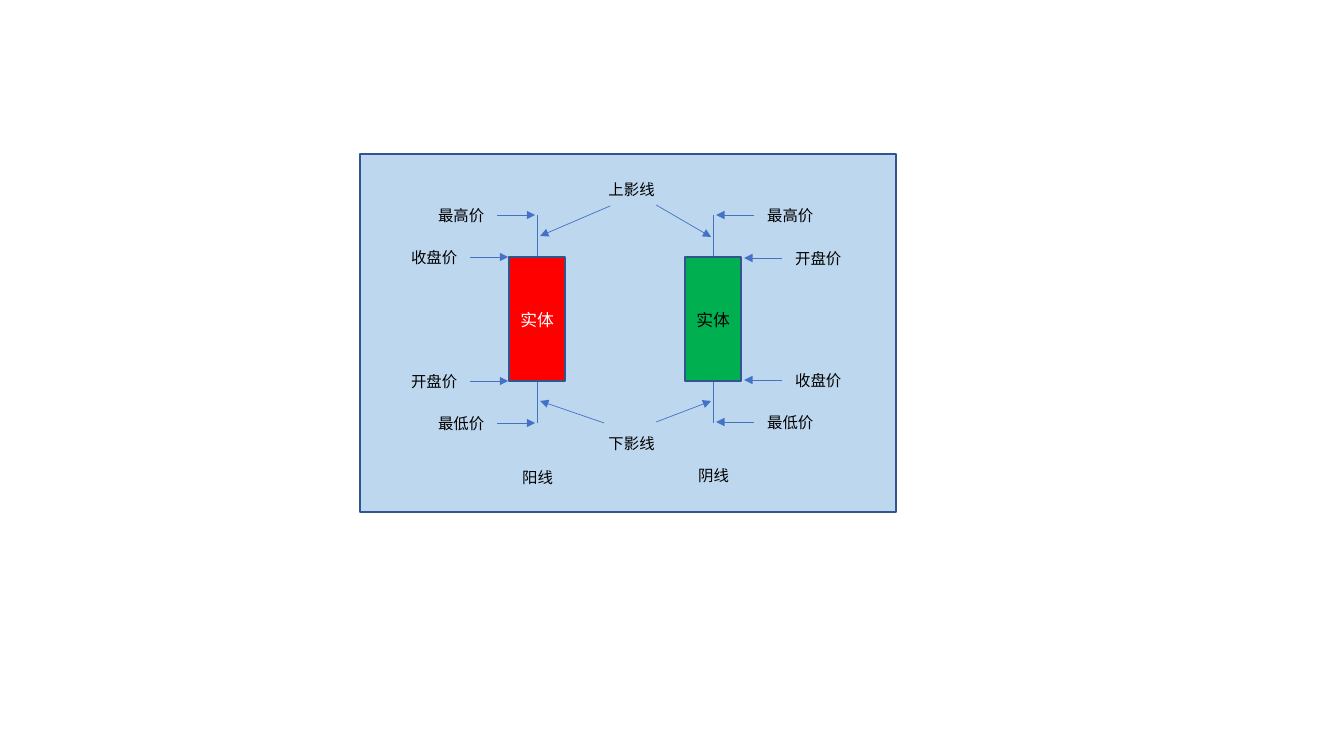
import pptx
import pptx.util
import pptx.dml.color
import pptx.enum.shapes
import pptx.enum.text
import pptx.oxml.ns
import lxml.etree

PX = 914400 / 100.8
FONT = "Noto Sans CJK SC"
BLUE, BORDER, BLACK, WHITE = "4472C4", "325491", "000000", "FFFFFF"
LABEL_W, LABEL_H = 69, 29
ARROW = 38
ALIGN = pptx.enum.text.PP_ALIGN


def px(n):
    return pptx.util.Emu(round(n * PX))


def color(value):
    return pptx.dml.color.RGBColor.from_string(value)


def add_rect(s, x, y, w, h, fill):
    sp = s.shapes.add_shape(pptx.enum.shapes.MSO_SHAPE.RECTANGLE,
                            px(x), px(y), px(w), px(h))
    sp.shadow.inherit = False
    sp.fill.solid()
    sp.fill.fore_color.rgb = color(fill)
    sp.line.color.rgb = color(BORDER)
    sp.line.width = pptx.util.Pt(1)


def add_text(s, text, x, y, w=LABEL_W, h=LABEL_H, size=11, fill=BLACK,
             align=ALIGN.CENTER):
    tf = s.shapes.add_textbox(px(x), px(y), px(w), px(h)).text_frame
    tf.word_wrap = True
    p = tf.paragraphs[0]
    p.alignment = align
    r = p.add_run()
    r.text = text
    r.font.size = pptx.util.Pt(size)
    r.font.color.rgb = color(fill)
    r.font.name = FONT
    ea = lxml.etree.SubElement(r.font._element, pptx.oxml.ns.qn("a:ea"))
    ea.set("typeface", FONT)


def add_line(s, x1, y1, x2, y2, arrow=True):
    line = s.shapes.add_connector(pptx.enum.shapes.MSO_CONNECTOR.STRAIGHT,
                                  px(x1), px(y1), px(x2), px(y2))
    line.line.color.rgb = color(BLUE)
    line.line.width = pptx.util.Pt(0.5)
    if arrow:
        end = lxml.etree.SubElement(line.line._get_or_add_ln(),
                                    pptx.oxml.ns.qn("a:tailEnd"))
        end.set("type", "triangle")
    lxml.etree.SubElement(line._element.spPr, pptx.oxml.ns.qn("a:effectLst"))


def add_candle(s, center, fill, text_fill, caption, caption_y):
    add_line(s, center, 215, center, 423, arrow=False)
    add_rect(s, center - 28, 257, 56, 124, fill)
    add_text(s, "实体", center - 28, 305, w=56, h=30, size=12, fill=text_fill)
    add_text(s, caption, center - 34, caption_y)


def add_price(s, text, x, y, on_left):
    """Price label with an arrow pointing at its candle."""
    add_text(s, text, x, y - 14, align=ALIGN.LEFT)
    if on_left:
        start, end = x + LABEL_W, x + LABEL_W + ARROW
    else:
        start, end = x - 3, x - 3 - ARROW
    add_line(s, start, y, end, y)


def main():
    prs = pptx.Presentation()
    prs.slide_width = pptx.util.Inches(13.33)
    prs.slide_height = pptx.util.Inches(7.5)
    s = prs.slides.add_slide(prs.slide_layouts[6])

    # Panel and the two candles
    add_rect(s, 360, 154, 536, 358, "BDD7EE")
    add_candle(s, 537, "FF0000", WHITE, "阳线", 463)
    add_candle(s, 713, "00B050", BLACK, "阴线", 461)

    # Prices beside each candle
    for text, x, y, on_left in [
        ("最高价", 428, 215, True),
        ("收盘价", 401, 257, True),
        ("开盘价", 401, 381, True),
        ("最低价", 428, 423, True),
        ("最高价", 757, 215, False),
        ("开盘价", 785, 258, False),
        ("收盘价", 785, 380, False),
        ("最低价", 757, 422, False),
    ]:
        add_price(s, text, x, y, on_left)

    # Shadow labels, each pointing at both wicks
    for text, y, arrows in [
        ("上影线", 175, [(610, 206, 540, 236), (656, 205, 711, 237)]),
        ("下影线", 429, [(604, 423, 540, 401), (656, 422, 711, 401)]),
    ]:
        add_text(s, text, 597, y)
        for ends in arrows:
            add_line(s, *ends)

    prs.save("out.pptx")


main()
